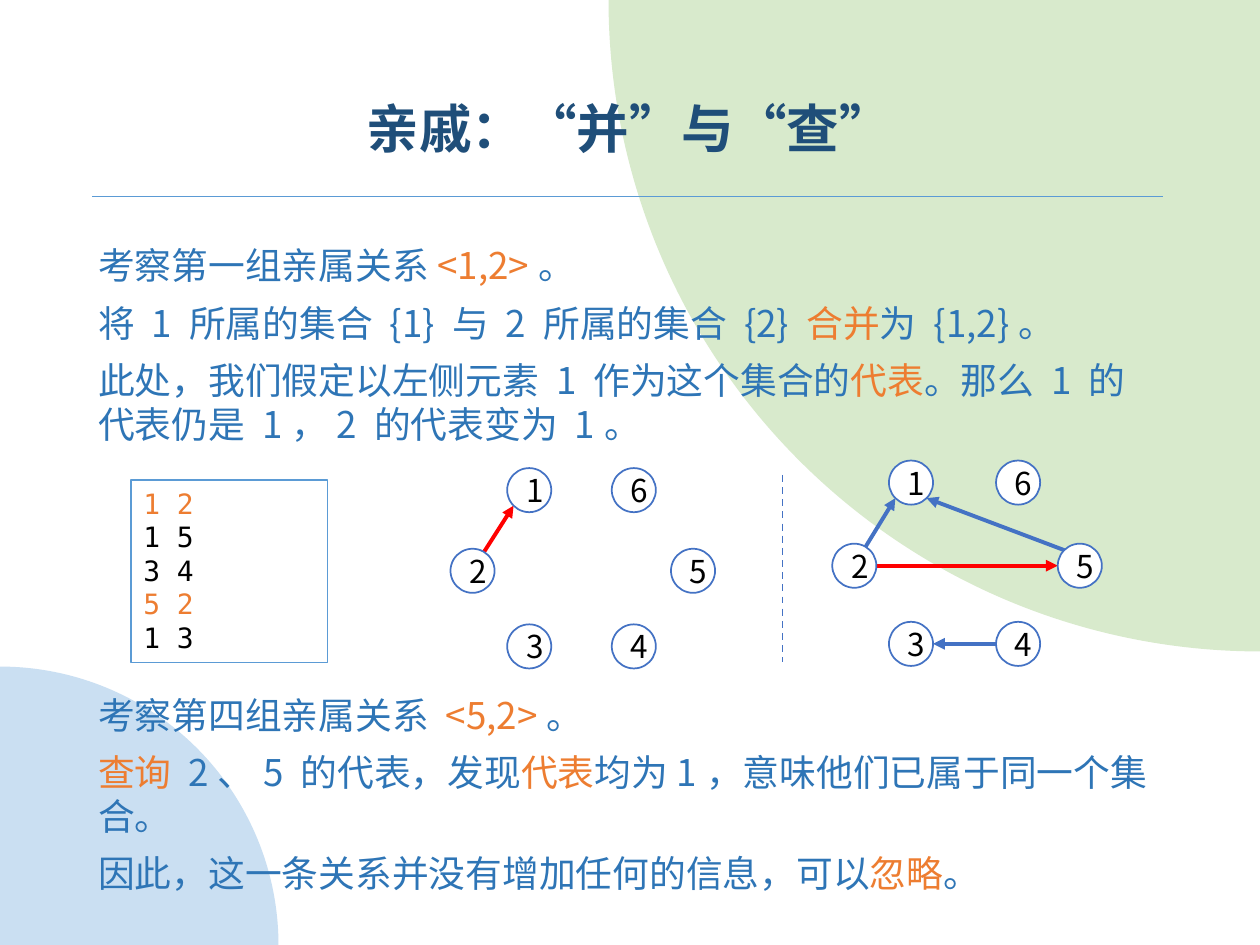
from dataclasses import dataclass
from math import cos, radians, sin

from lxml.etree import SubElement
from pptx import Presentation
from pptx.dml.color import RGBColor
from pptx.enum.dml import MSO_LINE
from pptx.enum.shapes import MSO_CONNECTOR, MSO_SHAPE
from pptx.enum.text import MSO_ANCHOR, PP_ALIGN
from pptx.oxml.ns import qn
from pptx.util import Inches, Pt


@dataclass(frozen=True)
class Theme:
    green: str = "D8EACC"
    pale_blue: str = "CADFF2"
    rule: str = "5B9BD5"
    title: str = "1F4E79"
    body: str = "2E75B6"
    accent: str = "ED7D31"
    edge: str = "4472C4"
    new_edge: str = "FF0000"
    black: str = "000000"
    white: str = "FFFFFF"
    font: str = "Noto Sans CJK SC"
    mono: str = "DejaVu Sans Mono"
    title_size: float = 30
    body_size: float = 21
    node_size: float = 18
    code_size: float = 16


@dataclass(frozen=True)
class Edge:
    """Arrow between two nodes; angles are degrees clockwise from the right."""
    src: int
    dst: int
    leave: float
    arrive: float
    color: str
    inset: float = 0


@dataclass(frozen=True)
class Graph:
    """Six nodes on four columns and three rows of centres."""
    columns: tuple[float, float, float, float]
    rows: tuple[float, float, float]
    edges: tuple[Edge, ...]

    def centers(self) -> dict[int, tuple[float, float]]:
        a, b, c, d = self.columns
        top, middle, bottom = self.rows
        return {1: (b, top), 2: (a, middle), 3: (b, bottom),
                4: (c, bottom), 5: (d, middle), 6: (c, top)}


T = Theme()
RADIUS = 0.175
GRAPHS = (
    Graph((3.75, 4.2, 5.03, 5.5), (3.89, 4.53, 5.13),
          (Edge(2, 1, -60, 135, T.new_edge, 0.1),)),
    Graph((6.78, 7.23, 8.08, 8.57), (3.83, 4.49, 5.11),
          (Edge(2, 1, -60, 135, T.edge, 0.1),
           Edge(5, 1, 225, 45, T.edge),
           Edge(4, 3, 180, 0, T.edge),
           Edge(2, 5, 0, 180, T.new_edge))),
)
GAP_FOR_GRAPHS = 141
# Asterisks enclose accented words.
BODY = (
    ("考察第一组亲属关系*<1,2>*。", 0),
    ("将 1 所属的集合 {1} 与 2 所属的集合 {2} *合并*为 {1,2}。", 7.5),
    ("此处，我们假定以左侧元素 1 作为这个集合的*代表*。那么 1 的代表仍是 1，2 的代表变为 1。", 7.5),
    ("考察第四组亲属关系 *<5,2>*。", GAP_FOR_GRAPHS),
    ("*查询 *2、5 的代表，发现*代表*均为1，意味他们已属于同一个集合。", 7.5),
    ("因此，这一条关系并没有增加任何的信息，可以*忽略*。", 7.5),
)
RELATIONS = ("*1 2*", "1 5", "3 4", "*5 2*", "1 3")


def rgb(color: str) -> RGBColor:
    return RGBColor.from_string(color)


def write(p, text: str, *, size: float, color: str, font: str = T.font,
          bold: bool = False, align=PP_ALIGN.LEFT, spacing: float = 1.0,
          before: float = 0) -> None:
    """Fill a paragraph, colouring the parts between asterisks as accents."""
    p.alignment, p.line_spacing, p.space_before = align, spacing, Pt(before)
    for i, part in enumerate(text.split("*")):
        if not part:
            continue
        r = p.add_run()
        r.text = part
        r.font.name, r.font.size, r.font.bold = font, Pt(size), bold
        r.font.color.rgb = rgb(T.accent if i % 2 else color)
        SubElement(r.font._element, qn("a:ea"), typeface=font)


def paragraphs(tf, count: int) -> list:
    return [tf.paragraphs[0]] + [tf.add_paragraph() for _ in range(count - 1)]


def add_text_frame(s, x: float, y: float, w: float, h: float, anchor):
    tf = s.shapes.add_textbox(Inches(x), Inches(y), Inches(w), Inches(h)).text_frame
    tf.word_wrap, tf.vertical_anchor = True, anchor
    return tf


def add_shape(shapes, kind, x: float, y: float, w: float, h: float, fill: str,
              line: str = "", width: float = 1):
    sp = shapes.add_shape(kind, Inches(x), Inches(y), Inches(w), Inches(h))
    sp.shadow.inherit = False
    sp.fill.solid()
    sp.fill.fore_color.rgb = rgb(fill)
    if line:
        sp.line.color.rgb, sp.line.width = rgb(line), Pt(width)
    else:
        sp.line.fill.background()
    return sp


def add_line(shapes, start: tuple[float, float], end: tuple[float, float],
             color: str, width: float = 1, arrow: bool = False):
    c = shapes.add_connector(MSO_CONNECTOR.STRAIGHT, *map(Inches, start + end))
    c.line.color.rgb, c.line.width = rgb(color), Pt(width)
    if arrow:
        SubElement(c.line._get_or_add_ln(), qn("a:tailEnd"), type="triangle")
    SubElement(c._element.spPr, qn("a:effectLst"))
    return c


def add_quarter(s, cx: float, cy: float, radius: float, rotation: float, fill: str) -> None:
    sp = add_shape(s.shapes, MSO_SHAPE.PIE, cx - radius, cy - radius,
                   2 * radius, 2 * radius, fill)
    sp.adjustments[0], sp.adjustments[1] = 108, 162
    sp.rotation = rotation


def rim(center: tuple[float, float], angle: float, radius: float) -> tuple[float, float]:
    a = radians(angle)
    return center[0] + radius * cos(a), center[1] + radius * sin(a)


def add_graph(s, graph: Graph) -> None:
    shapes = s.shapes.add_group_shape().shapes
    centers = graph.centers()
    for e in graph.edges:
        add_line(shapes, rim(centers[e.src], e.leave, RADIUS - e.inset),
                 rim(centers[e.dst], e.arrive, RADIUS), e.color, 2.25, arrow=True)
    for label, (cx, cy) in centers.items():
        sp = add_shape(shapes, MSO_SHAPE.OVAL, cx - RADIUS, cy - RADIUS,
                       2 * RADIUS, 2 * RADIUS, T.white, T.edge)
        sp.text_frame.vertical_anchor = MSO_ANCHOR.MIDDLE
        write(sp.text_frame.paragraphs[0], str(label), size=T.node_size,
              color=T.black, align=PP_ALIGN.CENTER)


def main() -> None:
    prs = Presentation()
    prs.slide_width, prs.slide_height = Inches(10), Inches(7.5)
    s = prs.slides.add_slide(prs.slide_layouts[6])

    add_quarter(s, 10, 0, 5.17, 270, T.green)
    add_quarter(s, 0, 7.5, 2.21, 90, T.pale_blue)
    add_line(s.shapes, (9.23, 1.56), (0.73, 1.56), T.rule)

    tf = add_text_frame(s, 0.68, 0.52, 8.63, 0.8, MSO_ANCHOR.BOTTOM)
    write(tf.paragraphs[0], "亲戚：“并”与“查”", size=T.title_size, color=T.title,
          bold=True, align=PP_ALIGN.CENTER, spacing=0.9)

    tf = add_text_frame(s, 0.68, 1.88, 8.63, 5.36, MSO_ANCHOR.TOP)
    for p, (text, before) in zip(paragraphs(tf, len(BODY)), BODY):
        write(p, text, size=T.body_size, color=T.body, before=before)

    sp = add_shape(s.shapes, MSO_SHAPE.RECTANGLE, 1.04, 3.81, 1.56, 1.45,
                   T.white, T.rule, 0.75)
    sp.text_frame.vertical_anchor = MSO_ANCHOR.TOP
    for p, text in zip(paragraphs(sp.text_frame, len(RELATIONS)), RELATIONS):
        write(p, text, size=T.code_size, color=T.black, font=T.mono)

    for graph in GRAPHS:
        add_graph(s, graph)
    divider = add_line(s.shapes, (6.21, 3.77), (6.21, 5.25), T.edge)
    divider.line.dash_style = MSO_LINE.DASH

    prs.save("out.pptx")


if __name__ == "__main__":
    main()
